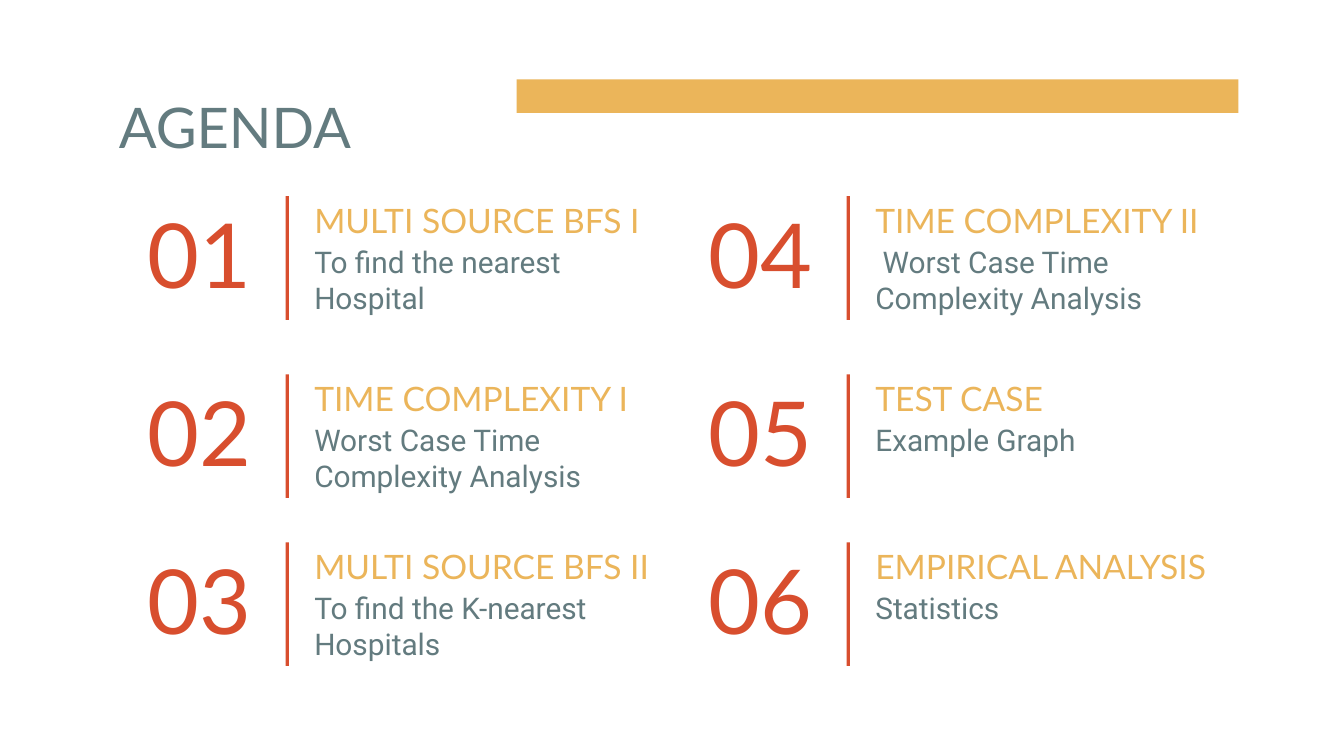
"""Build an agenda slide with six numbered topics in two columns."""
import pptx
import pptx.dml.color
import pptx.enum.shapes
import pptx.enum.text
import pptx.util

TITLE = "AGENDA"
TOPICS = [
    ("MULTI SOURCE BFS I", "To find the nearest Hospital"),
    ("TIME COMPLEXITY I", "Worst Case Time Complexity Analysis"),
    ("MULTI SOURCE BFS II", "To find the K-nearest Hospitals"),
    ("TIME COMPLEXITY II", " Worst Case Time Complexity Analysis"),
    ("TEST CASE", "Example Graph"),
    ("EMPIRICAL ANALYSIS", "Statistics"),
]
COLORS = {"slate": "637B7F", "gold": "EBB55A", "red": "D84E2E"}
PX = 4572
COLUMNS = [192, 1027]
ROWS = [292, 557, 807]

ALIGN = pptx.enum.text.PP_ALIGN
ANCHOR = pptx.enum.text.MSO_ANCHOR


def color(name):
    return pptx.dml.color.RGBColor.from_string(COLORS[name])


def place(sp, *box):
    sp.left, sp.top, sp.width, sp.height = (n * PX for n in box)


def add_bar(slide, box, fill):
    sp = slide.shapes.add_shape(
        pptx.enum.shapes.MSO_SHAPE.RECTANGLE, *(n * PX for n in box))
    sp.shadow.inherit = False
    sp.fill.solid()
    sp.fill.fore_color.rgb = color(fill)
    sp.line.fill.background()


def write(sp, text, size, font, fill, align=ALIGN.LEFT, anchor=ANCHOR.TOP):
    tf = sp.text_frame
    tf.word_wrap = True
    tf.auto_size = pptx.enum.text.MSO_AUTO_SIZE.NONE
    tf.vertical_anchor = anchor
    tf.margin_left = tf.margin_right = tf.margin_top = tf.margin_bottom = 20 * PX
    p = tf.paragraphs[0]
    p.alignment = align
    r = p.add_run()
    r.text = text
    r.font.size = pptx.util.Pt(size)
    r.font.name = font
    r.font.color.rgb = color(fill)


def add_text(slide, box, *style):
    sp = slide.shapes.add_textbox(*(n * PX for n in box))
    write(sp, *style)


def add_topic(slide, number, heading, detail, x, y):
    add_text(slide, (x, y, 202, 184), f"{number:02}", 48, "Lato", "red",
             ALIGN.RIGHT, ANCHOR.BOTTOM)
    add_bar(slide, (x + 233, y, 5, 184), "red")
    add_text(slide, (x + 256, y - 14, 552, 74), heading, 18, "Lato", "gold")
    add_text(slide, (x + 256, y + 51, 500, 134), detail, 16, "Roboto", "slate")


def main():
    prs = pptx.Presentation()
    prs.slide_width, prs.slide_height = 2000 * PX, 1125 * PX
    slide = prs.slides.add_slide(prs.slide_layouts[5])
    add_bar(slide, (769, 118, 1074, 50), "gold")
    title = slide.shapes.title
    place(title, 157, 118, 654, 126)
    write(title, TITLE, 30, "Lato", "slate")
    for i, (heading, detail) in enumerate(TOPICS):
        col, row = divmod(i, len(ROWS))
        add_topic(slide, i + 1, heading, detail, COLUMNS[col], ROWS[row])
    prs.save("out.pptx")


if __name__ == "__main__":
    main()
